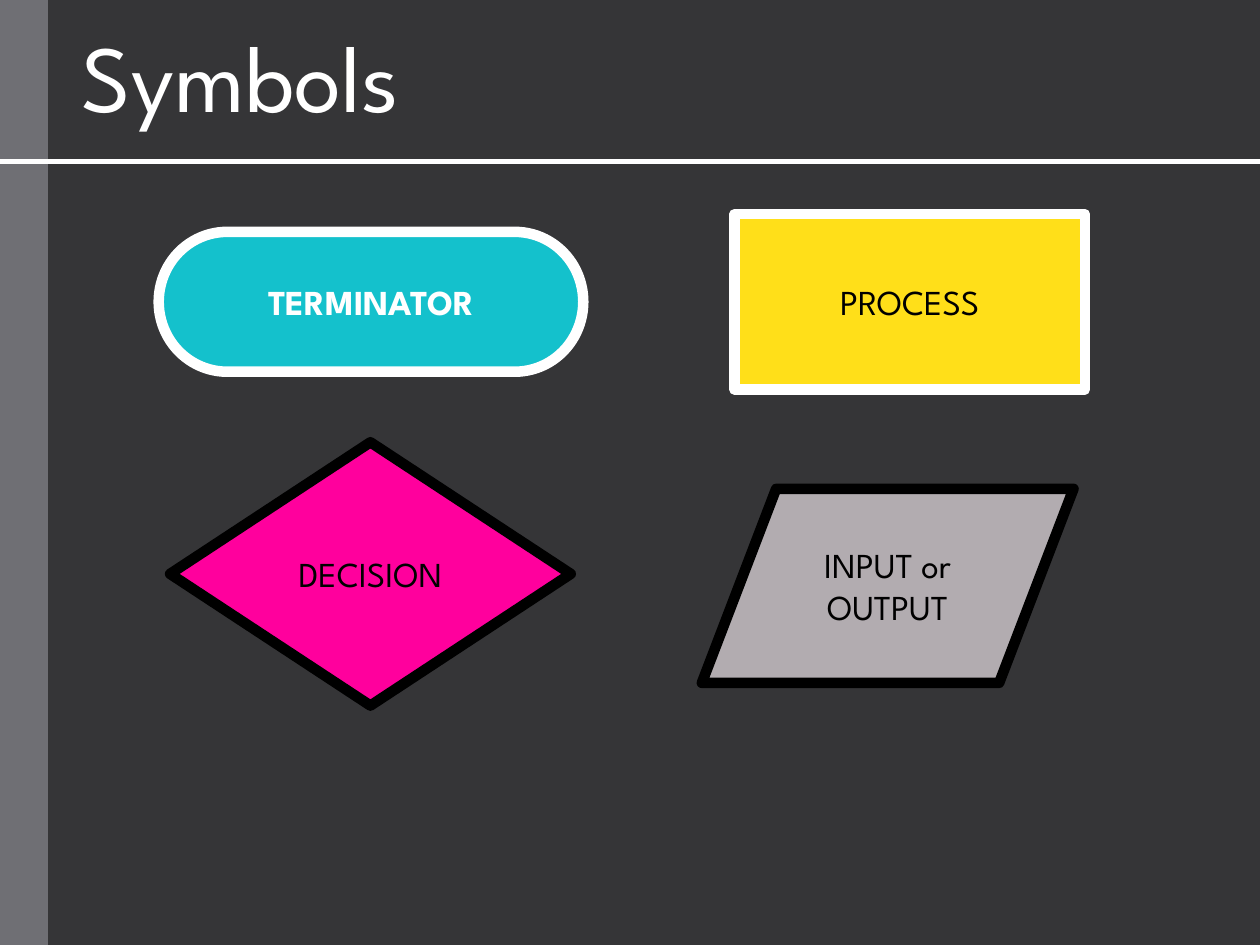
"""Build a slide that shows four flowchart symbols under a title."""
import dataclasses
import typing

import pptx
import pptx.dml.color
import pptx.enum.shapes
import pptx.enum.text
import pptx.oxml.ns
import pptx.slide
import pptx.util
from lxml import etree

KIND = pptx.enum.shapes.MSO_SHAPE
FONT = "League Spartan"
WHITE, BLACK, DARK, GRAY = "FFFFFF", "000000", "353537", "6F6F74"
WIDE, HIGH = pptx.util.Inches(10), pptx.util.Inches(7.5)
COLS, ROWS = 100, 75
RULE = 12.8


@dataclasses.dataclass(frozen=True)
class Symbol:
    kind: KIND
    label: str
    box: tuple[float, float, float, float]
    fill: str
    edge: str
    ink: str = BLACK
    bold: bool = False


SYMBOLS = [
    Symbol(KIND.FLOWCHART_TERMINATOR, "TERMINATOR", (12.6, 18.4, 33.7, 11.1),
           "14C1CC", WHITE, WHITE, True),
    Symbol(KIND.FLOWCHART_PROCESS, "PROCESS", (58.3, 17, 27.8, 13.9), "FFDF19", WHITE),
    Symbol(KIND.FLOWCHART_DECISION, "DECISION", (13.5, 35.1, 31.8, 20.9), "FF009D", BLACK),
    Symbol(KIND.FLOWCHART_DATA, "INPUT or OUTPUT", (55.7, 38.8, 29.5, 15.4), "B2ACB0", BLACK),
]


def grid(*cells: float) -> list[int]:
    """Turn alternating columns and rows into slide lengths."""
    return [round(n * (HIGH / ROWS if i % 2 else WIDE / COLS)) for i, n in enumerate(cells)]


def paint(part: typing.Any, tone: str) -> None:
    """Give a fill one solid colour."""
    part.solid()
    part.fore_color.rgb = pptx.dml.color.RGBColor.from_string(tone)


def write(frame: typing.Any, text: str, size: float, ink: str, bold: bool = False) -> None:
    """Add one formatted run to the first paragraph of a frame."""
    frame.word_wrap = True
    run = frame.paragraphs[0].add_run()
    run.text = text
    run.font.name, run.font.size, run.font.bold = FONT, pptx.util.Pt(size), bold
    paint(run.font.fill, ink)


def add_bar(slide: pptx.slide.Slide) -> None:
    """Draw the band along the left edge."""
    bar = slide.shapes.add_shape(KIND.RECTANGLE, *grid(0, 0, 3.8, ROWS))
    bar.shadow.inherit = False
    paint(bar.fill, GRAY)
    bar.line.fill.background()


def add_title(slide: pptx.slide.Slide, text: str) -> None:
    """Place and fill the title."""
    title = slide.shapes.title
    title.left, title.top, title.width, title.height = grid(5.5, 0.9, 92.4, 10.1)
    frame = title.text_frame
    write(frame, text, 54, WHITE)
    frame.auto_size = pptx.enum.text.MSO_AUTO_SIZE.SHAPE_TO_FIT_TEXT
    frame.vertical_anchor = pptx.enum.text.MSO_ANCHOR.TOP
    frame.paragraphs[0].alignment = pptx.enum.text.PP_ALIGN.LEFT


def add_rule(slide: pptx.slide.Slide) -> None:
    """Draw the line under the title."""
    rule = slide.shapes.add_connector(
        pptx.enum.shapes.MSO_CONNECTOR.STRAIGHT, *grid(0, RULE, COLS, RULE))
    paint(rule.line.fill, WHITE)
    rule.line.width = pptx.util.Pt(3)
    etree.SubElement(rule._element.spPr, pptx.oxml.ns.qn("a:effectLst"))


def add_symbol(slide: pptx.slide.Slide, sym: Symbol) -> None:
    """Draw one labelled flowchart symbol."""
    shape = slide.shapes.add_shape(sym.kind, *grid(*sym.box))
    shape.shadow.inherit = False
    paint(shape.fill, sym.fill)
    paint(shape.line.fill, sym.edge)
    shape.line.width = pptx.util.Pt(6)
    write(shape.text_frame, sym.label, 20, sym.ink, sym.bold)
    shape.text_frame.vertical_anchor = pptx.enum.text.MSO_ANCHOR.MIDDLE
    shape.text_frame.paragraphs[0].alignment = pptx.enum.text.PP_ALIGN.CENTER


def main() -> None:
    """Build and save the slide."""
    deck = pptx.Presentation()
    deck.slide_width, deck.slide_height = WIDE, HIGH
    slide = deck.slides.add_slide(deck.slide_layouts.get_by_name("Title Only"))
    paint(slide.background.fill, DARK)
    add_bar(slide)
    add_title(slide, "Symbols")
    add_rule(slide)
    for sym in SYMBOLS:
        add_symbol(slide, sym)
    deck.save("out.pptx")


if __name__ == "__main__":
    main()
